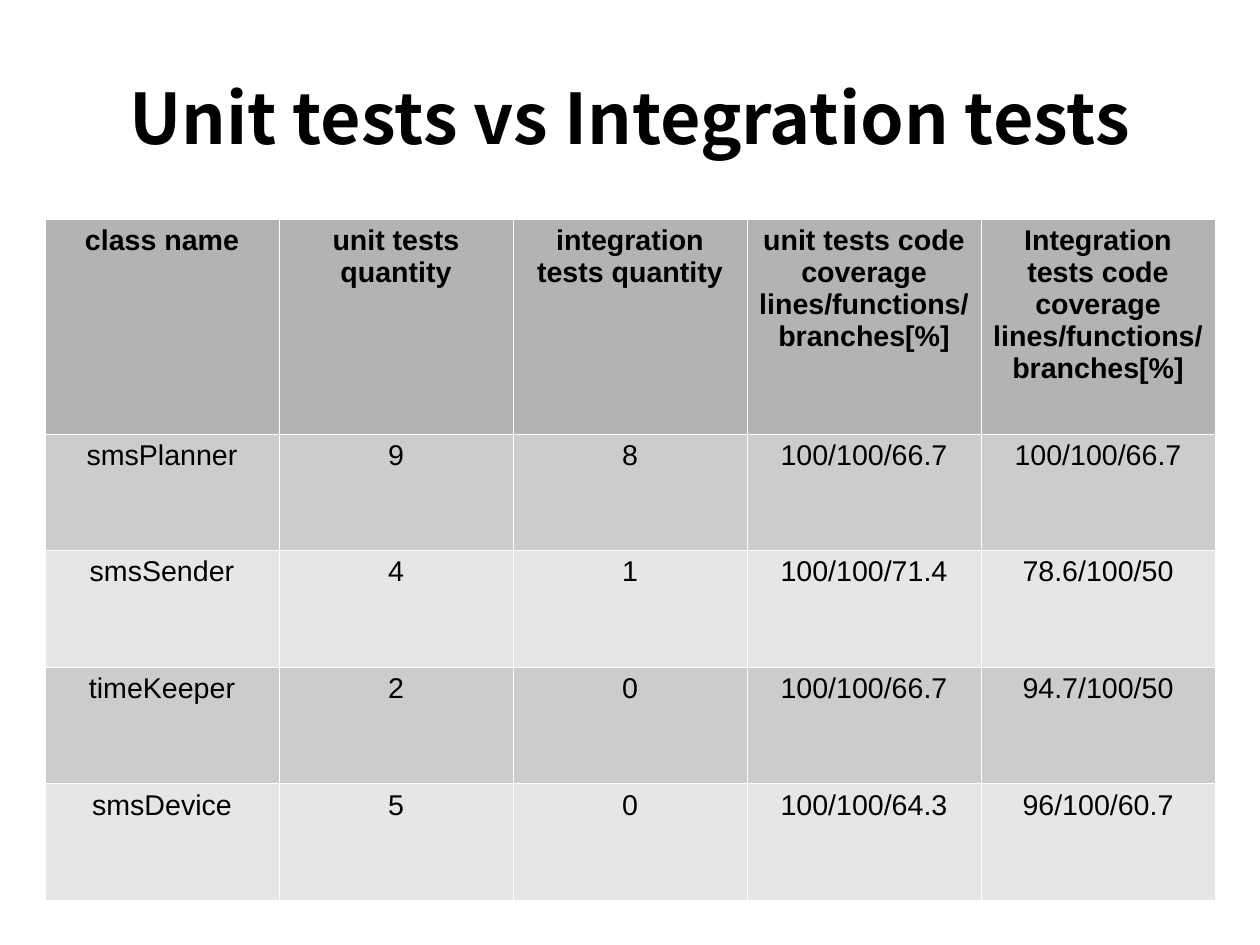
from lxml import etree
from pptx import Presentation
from pptx.dml.color import RGBColor
from pptx.enum.text import MSO_ANCHOR, PP_ALIGN
from pptx.oxml.ns import qn
from pptx.util import Cm, Pt

CENTER = PP_ALIGN.CENTER
MIDDLE = MSO_ANCHOR.MIDDLE
BLANK_LAYOUT = 6

COLORS = {
    "text": "000000",
    "header": "B3B3B3",
    "odd_row": "CCCCCC",
    "even_row": "E6E6E6",
    "border": "FFFFFF",
}
TITLE_FONT = "Noto Sans CJK JP"
TABLE_FONT = "Arial"
BORDER_WIDTH = Pt(0.06)
HEADER_HEIGHT = 4.78

TEST_COMPARISON = [
    ["class name", "unit tests quantity", "integration tests quantity",
     "unit tests code coverage lines/functions/branches[%]",
     "Integration tests code coverage lines/functions/branches[%]"],
    ["smsPlanner", "9", "8", "100/100/66.7", "100/100/66.7"],
    ["smsSender", "4", "1", "100/100/71.4", "78.6/100/50"],
    ["timeKeeper", "2", "0", "100/100/66.7", "94.7/100/50"],
    ["smsDevice", "5", "0", "100/100/64.3", "96/100/60.7"],
]


def write_centered(frame, text, font_name, size, bold):
    frame.word_wrap = True
    frame.text = text
    paragraph = frame.paragraphs[0]
    paragraph.alignment = CENTER
    font = paragraph.runs[0].font
    font.name = font_name
    font.size = Pt(size)
    font.bold = bold
    font.color.rgb = RGBColor.from_string(COLORS["text"])


def add_borders(cell):
    properties = cell._tc.get_or_add_tcPr()
    for side in ("a:lnL", "a:lnR", "a:lnT", "a:lnB"):
        line = etree.SubElement(properties, qn(side), w=str(BORDER_WIDTH))
        fill = etree.SubElement(line, qn("a:solidFill"))
        etree.SubElement(fill, qn("a:srgbClr"), val=COLORS["border"])


def row_color(row):
    if row == 0:
        return COLORS["header"]
    return COLORS["odd_row"] if row % 2 else COLORS["even_row"]


def add_title(slide, text, left, top, width, height):
    title = slide.shapes.add_textbox(Cm(left), Cm(top), Cm(width), Cm(height))
    frame = title.text_frame
    frame.margin_left = frame.margin_right = 0
    frame.margin_top = frame.margin_bottom = 0
    frame.vertical_anchor = MIDDLE
    write_centered(frame, text, TITLE_FONT, 44, True)


def add_comparison_table(slide, rows, left, top, width, height):
    column_count = len(rows[0])
    table = slide.shapes.add_table(
        len(rows), column_count, Cm(left), Cm(top), Cm(width), Cm(height)).table

    # Equal columns, a tall header and equal class rows
    for column in table.columns:
        column.width = Cm(width / column_count)
    class_height = (height - HEADER_HEIGHT) / (len(rows) - 1)
    for row, table_row in enumerate(table.rows):
        table_row.height = Cm(class_height if row else HEADER_HEIGHT)

    # Cell text, borders and alternating fills
    for row, values in enumerate(rows):
        for column, value in enumerate(values):
            cell = table.cell(row, column)
            write_centered(cell.text_frame, value, TABLE_FONT, 18, row == 0)
            add_borders(cell)
            cell.fill.solid()
            cell.fill.fore_color.rgb = RGBColor.from_string(row_color(row))


def main():
    presentation = Presentation()
    presentation.slide_width = Cm(28)
    presentation.slide_height = Cm(21)
    slide = presentation.slides.add_slide(
        presentation.slide_layouts[BLANK_LAYOUT])
    add_title(slide, "Unit tests vs Integration tests", 1.4, 0.4, 25.2, 4.4)
    add_comparison_table(slide, TEST_COMPARISON, 1, 4.86, 26, 15.14)
    presentation.save("out.pptx")


if __name__ == "__main__":
    main()
